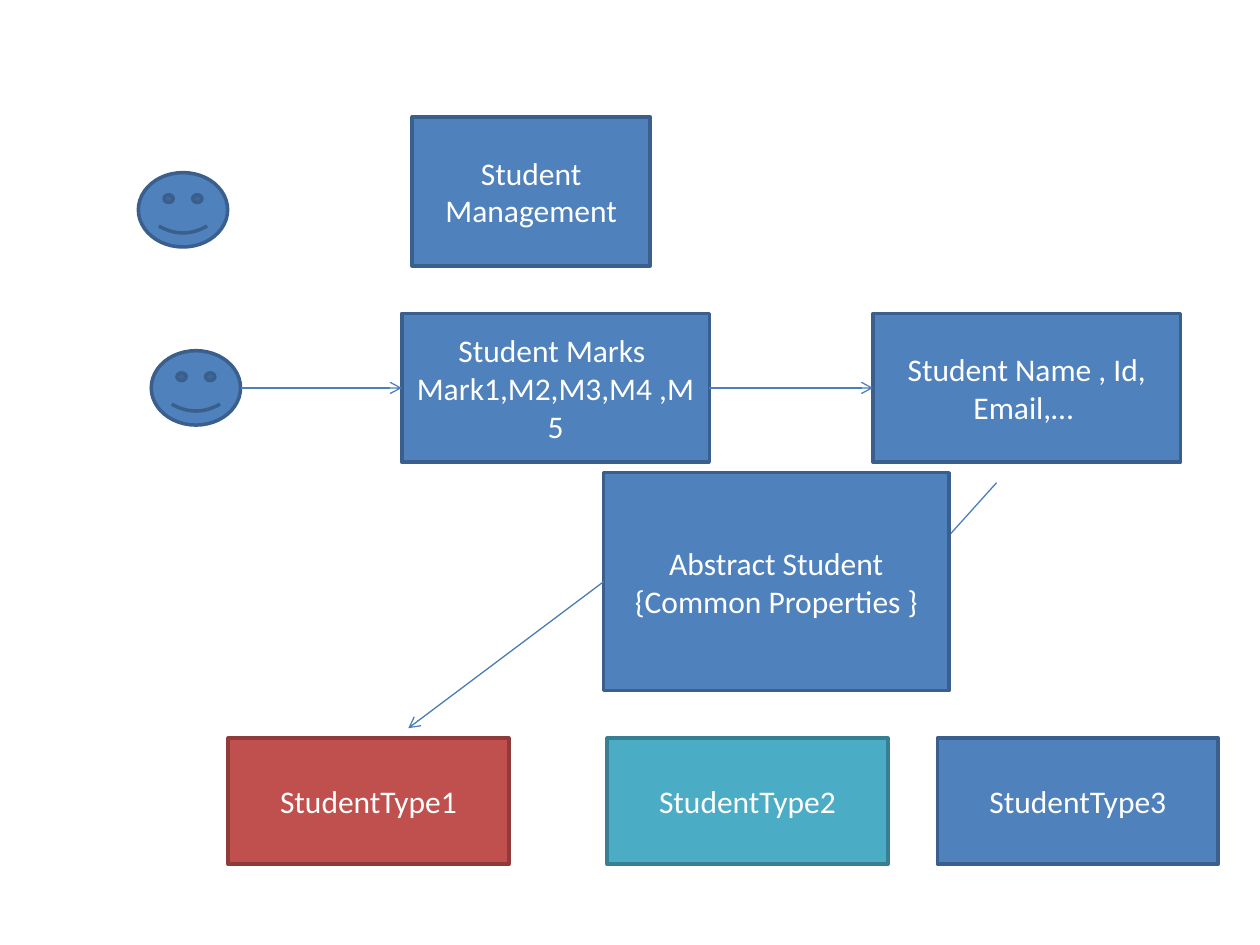
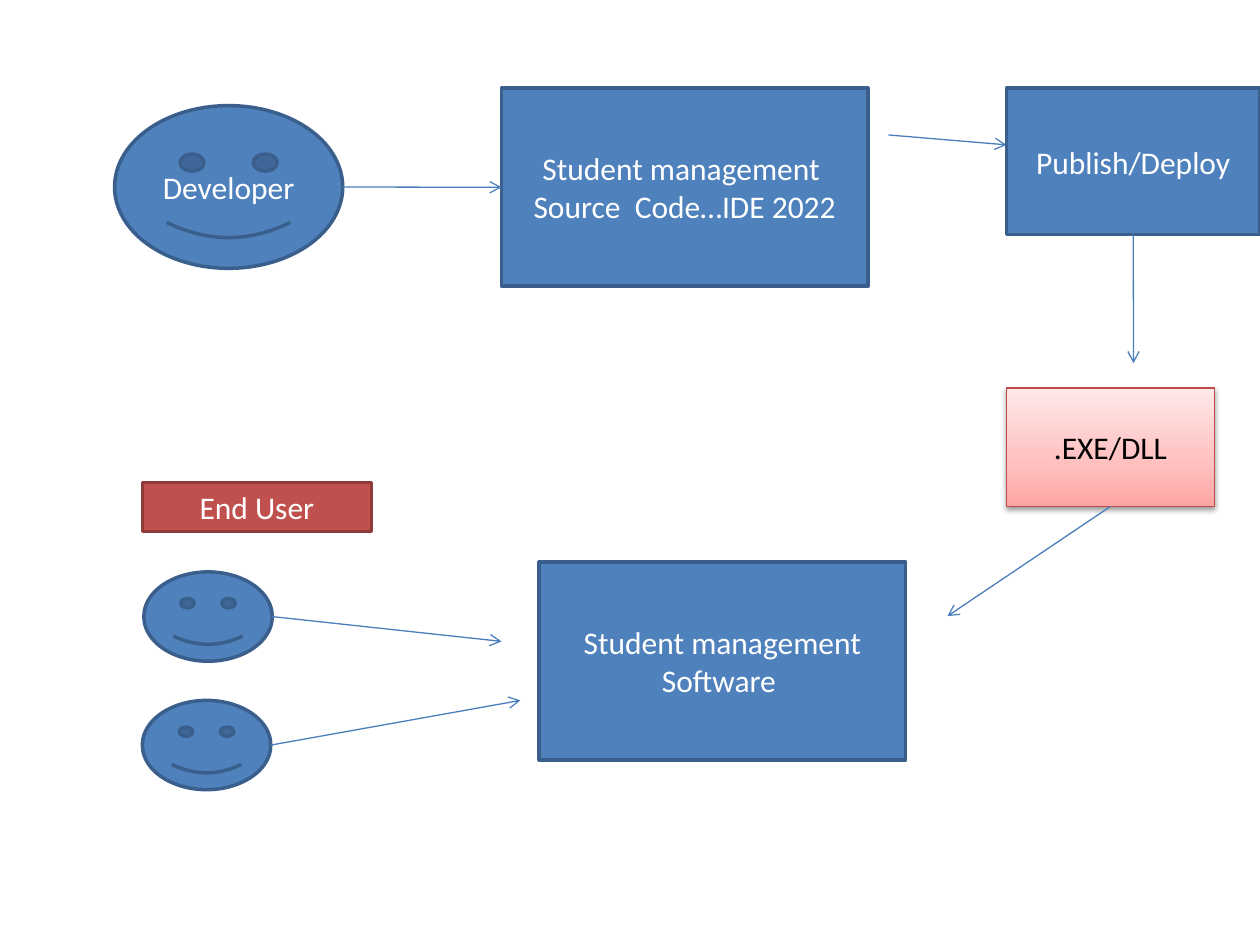
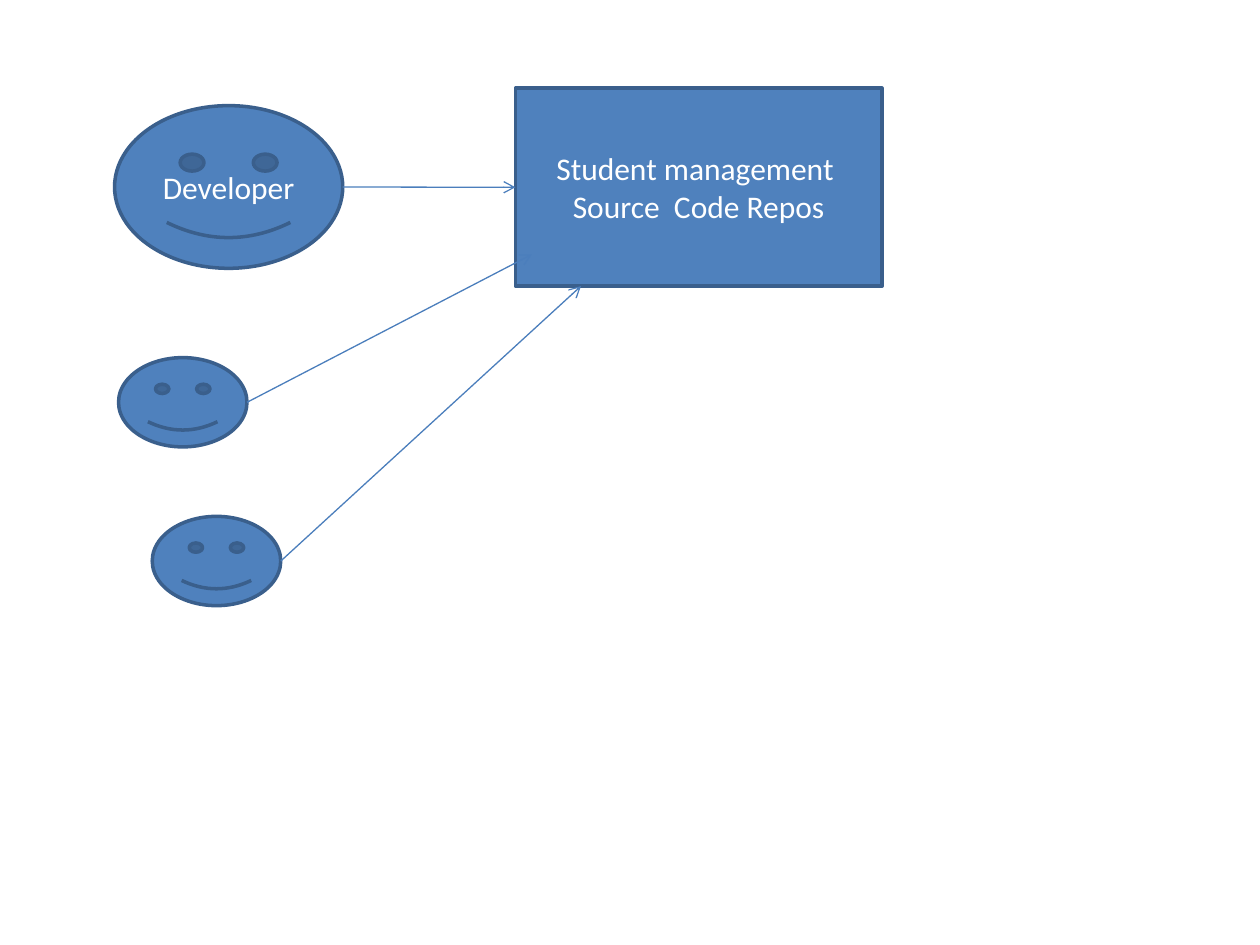
import copy

import pptx
import pptx.dml.color
import pptx.enum.shapes
import pptx.enum.text
import pptx.oxml
import pptx.oxml.ns
import pptx.util

Cm = pptx.util.Cm
Pt = pptx.util.Pt
RGBColor = pptx.dml.color.RGBColor
SHAPES = pptx.enum.shapes.MSO_SHAPE

BLUE = RGBColor(0x4F, 0x81, 0xBD)
BLUE_EDGE = RGBColor(0x3A, 0x5F, 0x8C)
RED = RGBColor(0xC0, 0x50, 0x4D)
RED_EDGE = RGBColor(0x8E, 0x3B, 0x39)
TEAL = RGBColor(0x4B, 0xAC, 0xC6)
TEAL_EDGE = RGBColor(0x37, 0x7F, 0x92)
PINK_EDGE = RGBColor(0xBF, 0x4C, 0x48)
ARROW = RGBColor(0x4B, 0x7E, 0xBC)
WHITE = RGBColor(0xFF, 0xFF, 0xFF)
BLACK = RGBColor(0x00, 0x00, 0x00)
PINK_STOPS = [
    (0, RGBColor(0xFF, 0xA6, 0xA5)),
    (0.35, RGBColor(0xFF, 0xC0, 0xBF)),
    (1, RGBColor(0xFF, 0xE7, 0xE7)),
]

FONT = "Calibri"
FONT_SIZE = 18

STYLES = {
    "blue": (BLUE, BLUE_EDGE, 2, WHITE),
    "red": (RED, RED_EDGE, 2, WHITE),
    "teal": (TEAL, TEAL_EDGE, 2, WHITE),
    "pink": (None, PINK_EDGE, 0.75, BLACK),
}

KINDS = {
    "person": (SHAPES.SMILEY_FACE, 1.8, 1.5),
    "user": (SHAPES.SMILEY_FACE, 2.59, 1.8),
    "developer": (SHAPES.SMILEY_FACE, 4.6, 3.28),
    "manager": (SHAPES.RECTANGLE, 4.8, 3),
    "record": (SHAPES.RECTANGLE, 6.2, 3),
    "abstract": (SHAPES.RECTANGLE, 6.96, 4.39),
    "type": (SHAPES.RECTANGLE, 5.66, 2.54),
    "system": (SHAPES.RECTANGLE, 7.39, 3.99),
    "label": (SHAPES.RECTANGLE, 4.62, 0.99),
    "step": (SHAPES.RECTANGLE, 5.11, 2.95),
    "output": (SHAPES.RECTANGLE, 4.19, 2.39),
}

SIDES = {"left": (0, 0.5), "right": (1, 0.5), "bottom": (0.5, 1)}

DEVELOPER = ("developer", "developer", 2.31, 2.13, "Developer", "blue")

SLIDES = [
    [
        ("management", "manager", 8.31, 2.36, "Student Management", "blue"),
        ("teacher", "person", 2.79, 3.48, "", "blue"),
        ("marks", "record", 8.1, 6.32, "Student Marks \nMark1,M2,M3,M4 ,M5", "blue"),
        ("details", "record", 17.6, 6.32, "Student Name , Id, Email,… ", "blue"),
        ("student", "person", 3.05, 7.07, "", "blue"),
        (("student", "right"), ("marks", "left")),
        (("marks", "right"), ("details", "left")),
        ((20.09, 9.73), (18.29, 11.73)),
        ("common", "abstract", 12.17, 9.53, "Abstract Student {Common Properties }", "blue"),
        ("type 1", "type", 4.6, 14.88, "StudentType1", "red"),
        ("type 2", "type", 12.24, 14.88, "StudentType2", "teal"),
        ("type 3", "type", 18.9, 14.88, "StudentType3", "blue"),
        (("common", "left"), (8.23, 14.68)),
    ],
    [
        DEVELOPER,
        ("source", "system", 10.11, 1.78, "Student management \nSource  Code…IDE 2022", "blue"),
        (("developer", "right"), ("source", "left")),
        ("software", "system", 10.87, 11.33, "Student management Software ", "blue"),
        ("user 1", "user", 2.9, 11.53, "", "blue"),
        ("user 2", "user", 2.87, 14.12, "", "blue"),
        ("end user", "label", 2.87, 9.73, "End User", "red"),
        (("user 1", "right"), (10.11, 12.93)),
        (("user 2", "right"), (10.49, 14.12)),
        ((17.91, 2.72), (20.29, 2.92)),
        ("publish", "step", 20.29, 1.78, "Publish/Deploy", "blue"),
        ("binary", "output", 20.29, 7.82, ".EXE/DLL", "pink"),
        (("publish", "bottom"), (22.85, 7.32)),
        (("binary", "bottom"), (19.1, 12.42)),
    ],
    [
        DEVELOPER,
        ("repository", "system", 10.39, 1.78, "Student management \nSource  Code Repos", "blue"),
        (("developer", "right"), ("repository", "left")),
        ("user 1", "user", 2.39, 7.21, "", "blue"),
        ("user 2", "user", 3.07, 10.41, "", "blue"),
        (("user 1", "right"), (10.72, 5.13)),
        (("user 2", "right"), (11.71, 5.77)),
    ],
]


def add_xml(parent, tag, **attributes):
    element = pptx.oxml.ns.qn(tag)
    child = parent.makeelement(element, attributes)
    parent.append(child)
    return child


def fill_pink(shape):
    shape.fill.gradient()
    shape.fill.gradient_angle = 90
    stop_list = shape._element.spPr.find(".//" + pptx.oxml.ns.qn("a:gsLst"))
    stop_list.append(copy.deepcopy(stop_list[-1]))
    for stop, (position, color) in zip(shape.fill.gradient_stops, PINK_STOPS):
        stop.position = position
        stop.color.rgb = color
    effects = shape._element.spPr.find(pptx.oxml.ns.qn("a:effectLst"))
    shadow = add_xml(effects, "a:outerShdw", blurRad="40000", dist="20000",
                     dir="5400000", rotWithShape="0")
    color = add_xml(shadow, "a:srgbClr", val="000000")
    add_xml(color, "a:alpha", val="38000")


def add_node(slide, kind, left, top, text, style):
    preset, width, height = KINDS[kind]
    fill, edge, edge_width, font_color = STYLES[style]
    shape = slide.shapes.add_shape(preset, Cm(left), Cm(top), Cm(width), Cm(height))
    shape.shadow.inherit = False
    if fill is None:
        fill_pink(shape)
    else:
        shape.fill.solid()
        shape.fill.fore_color.rgb = fill
    shape.line.color.rgb = edge
    shape.line.width = Pt(edge_width)
    if text:
        text_frame = shape.text_frame
        text_frame.text = text
        text_frame.vertical_anchor = pptx.enum.text.MSO_ANCHOR.MIDDLE
        for paragraph in text_frame.paragraphs:
            paragraph.alignment = pptx.enum.text.PP_ALIGN.CENTER
            for run in paragraph.runs:
                run.font.name = FONT
                run.font.size = Pt(FONT_SIZE)
                run.font.color.rgb = font_color
    return shape


def locate(end, nodes):
    first, second = end
    if first not in nodes:
        return Cm(first), Cm(second)
    shape = nodes[first]
    across, down = SIDES[second]
    return (int(shape.left + across * shape.width),
            int(shape.top + down * shape.height))


def add_arrow(slide, start, end):
    connector = slide.shapes.add_connector(
        pptx.enum.shapes.MSO_CONNECTOR.STRAIGHT, *start, *end)
    connector.line.color.rgb = ARROW
    connector.line.width = Pt(0.75)
    add_xml(connector.line._get_or_add_ln(), "a:tailEnd", type="arrow")
    add_xml(connector._element.spPr, "a:effectLst")


def main():
    presentation = pptx.Presentation()
    presentation.slide_width = Cm(25.4)
    presentation.slide_height = Cm(19.05)
    for items in SLIDES:
        slide = presentation.slides.add_slide(presentation.slide_layouts[6])
        nodes = {}
        for item in items:
            if len(item) == 2:
                start, end = item
                add_arrow(slide, locate(start, nodes), locate(end, nodes))
            else:
                name, *details = item
                nodes[name] = add_node(slide, *details)
    presentation.save("out.pptx")


if __name__ == "__main__":
    main()
